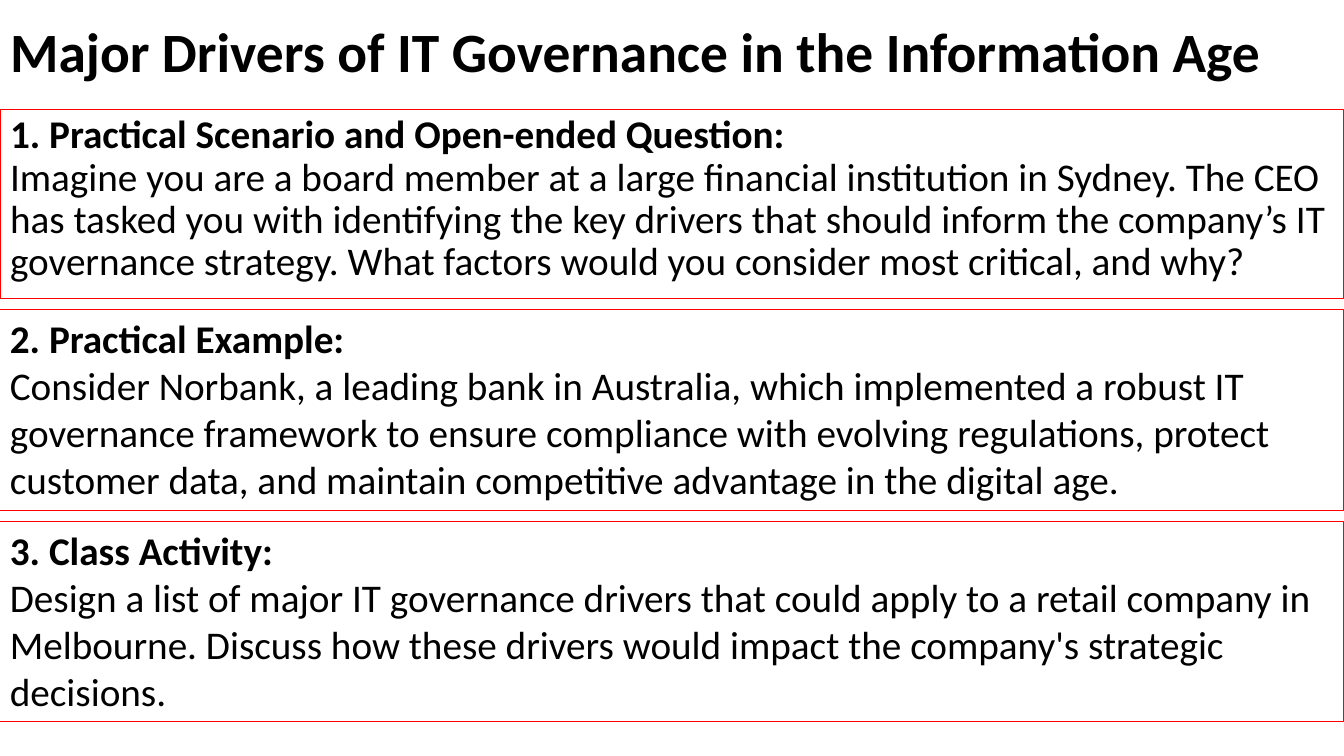
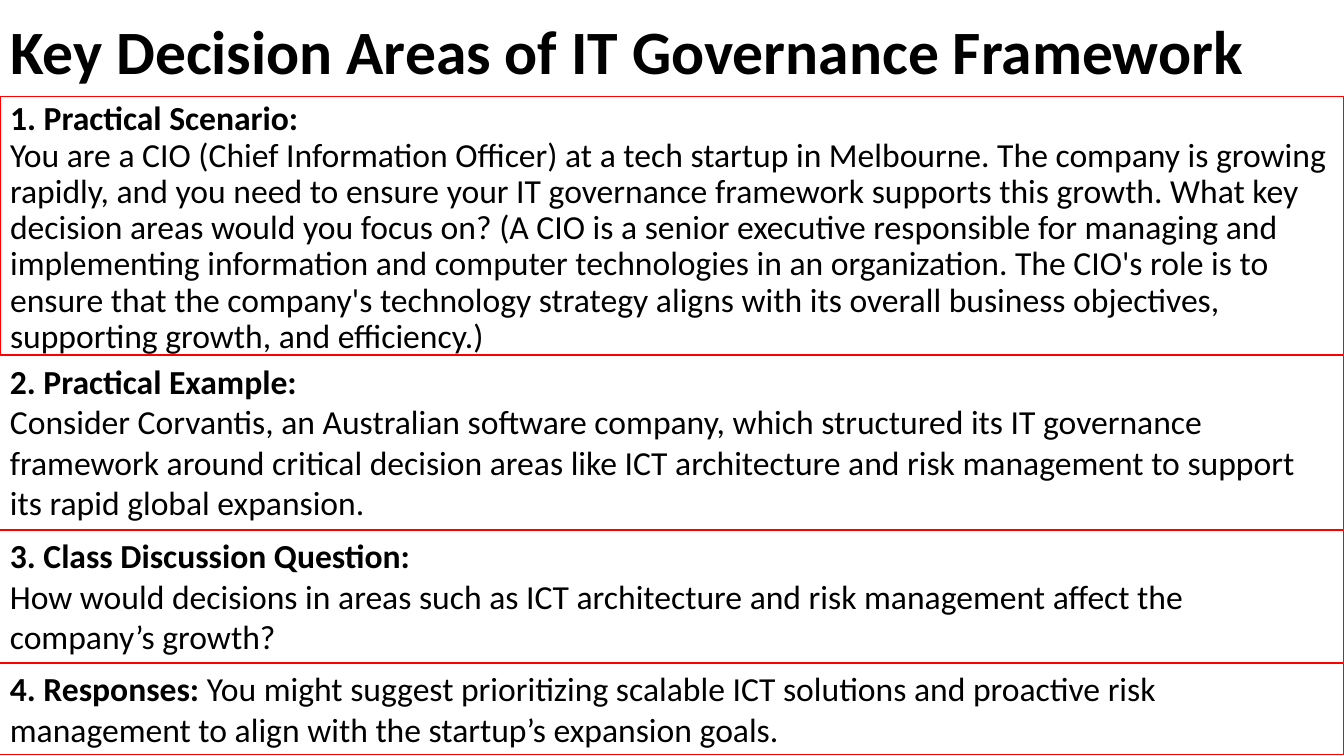
import pptx
import pptx.dml.color
import pptx.enum.text
import pptx.util
from lxml import etree
from pptx.oxml.ns import qn

COLORS = {"text": "000000", "border": "FF0000"}
FONT = "Calibri"

# Grid: full-width panels stacked on fine rows
SLIDE_WIDTH = pptx.util.Inches(13.33)
SLIDE_HEIGHT = pptx.util.Inches(7.5)
ROW = SLIDE_HEIGHT // 750
TITLE_ROWS = 109

# Panels: rows, heading, whether the text starts on a new line, text
SLIDES = [
    {
        "title": "Major Drivers of IT Governance in the Information Age",
        "title_size": 39.6, "text_size": 28, "first_row": 109, "gap": 11,
        "panels": [
            (187, "1. Practical Scenario and Open-ended Question:", True,
             "Imagine you are a board member at a large financial institution in "
             "Sydney. The CEO has tasked you with identifying the key drivers that "
             "should inform the company’s IT governance strategy. What factors "
             "would you consider most critical, and why?"),
            (199, "2. Practical Example:", True,
             "Consider Norbank, a leading bank in Australia, which implemented a "
             "robust IT governance framework to ensure compliance with evolving "
             "regulations, protect customer data, and maintain competitive "
             "advantage in the digital age."),
            (199, "3. Class Activity:", True,
             "Design a list of major IT governance drivers that could apply to a "
             "retail company in Melbourne. Discuss how these drivers would impact "
             "the company's strategic decisions."),
        ],
    },
    {
        "title": "Key Decision Areas of IT Governance Framework",
        "title_size": 44, "text_size": 24, "first_row": 96, "gap": 1,
        "panels": [
            (256, "1. Practical Scenario:", True,
             "You are a CIO (Chief Information Officer) at a tech startup in "
             "Melbourne. The company is growing rapidly, and you need to ensure "
             "your IT governance framework supports this growth. What key decision "
             "areas would you focus on? (A CIO is a senior executive responsible "
             "for managing and implementing information and computer technologies "
             "in an organization. The CIO's role is to ensure that the company's "
             "technology strategy aligns with its overall business objectives, "
             "supporting growth, and efficiency.)"),
            (172, "2. Practical Example:", True,
             "Consider Corvantis, an Australian software company, which structured "
             "its IT governance framework around critical decision areas like ICT "
             "architecture and risk management to support its rapid global "
             "expansion."),
            (131, "3. Class Discussion Question:", True,
             "How would decisions in areas such as ICT architecture and risk "
             "management affect the company’s growth?"),
            (91, "4. Responses:", False,
             " You might suggest prioritizing scalable ICT solutions and proactive "
             "risk management to align with the startup’s expansion goals."),
        ],
    },
]


def color(name):
    return pptx.dml.color.RGBColor.from_string(COLORS[name])


def place(shape, top, rows):
    shape.left, shape.top = 0, top * ROW
    shape.width, shape.height = SLIDE_WIDTH, rows * ROW


def style_paragraph(paragraph, size):
    paragraph.alignment = pptx.enum.text.PP_ALIGN.LEFT
    paragraph.font.name = FONT
    paragraph.font.size = pptx.util.Pt(size)
    paragraph.font.color.rgb = color("text")


def set_title(slide, text, size):
    title = slide.shapes.title
    place(title, 0, TITLE_ROWS)
    frame = title.text_frame
    frame.text = text
    frame.auto_size = pptx.enum.text.MSO_AUTO_SIZE.NONE
    frame.vertical_anchor = pptx.enum.text.MSO_ANCHOR.MIDDLE
    paragraph = frame.paragraphs[0]
    style_paragraph(paragraph, size)
    paragraph.font.bold = True
    paragraph.line_spacing = 0.9


def fill_panel(shape, top, size, panel):
    rows, heading, new_line, text = panel
    place(shape, top, rows)
    shape.line.color.rgb = color("border")
    shape.line.width = pptx.util.Pt(0.75)
    shape.text_frame.word_wrap = True
    paragraph = shape.text_frame.paragraphs[0]
    style_paragraph(paragraph, size)
    heading_run = paragraph.add_run()
    heading_run.text = heading
    heading_run.font.bold = True
    if new_line:
        paragraph.add_line_break()
    paragraph.add_run().text = text


def format_body(shape):
    """Tighten the body placeholder and take off its bullet."""
    shape.text_frame.auto_size = pptx.enum.text.MSO_AUTO_SIZE.NONE
    paragraph = shape.text_frame.paragraphs[0]
    paragraph.line_spacing = 0.9
    paragraph.space_before = pptx.util.Pt(10)
    properties = paragraph._p.get_or_add_pPr()
    properties.set("marL", "0")
    properties.set("indent", "0")
    bullet = etree.Element(qn("a:buNone"))
    properties.find(qn("a:defRPr")).addprevious(bullet)


def add_slide(presentation, content):
    slide = presentation.slides.add_slide(presentation.slide_layouts[1])
    set_title(slide, content["title"], content["title_size"])
    top = content["first_row"]
    for index, panel in enumerate(content["panels"]):
        if index == 0:
            shape = slide.placeholders[1]
        else:
            shape = slide.shapes.add_textbox(0, 0, SLIDE_WIDTH, ROW)
            shape.text_frame.auto_size = pptx.enum.text.MSO_AUTO_SIZE.SHAPE_TO_FIT_TEXT
        fill_panel(shape, top, content["text_size"], panel)
        top += panel[0] + content["gap"]
    format_body(slide.placeholders[1])


def main():
    presentation = pptx.Presentation()
    presentation.slide_width = SLIDE_WIDTH
    presentation.slide_height = SLIDE_HEIGHT
    for content in SLIDES:
        add_slide(presentation, content)
    presentation.save("out.pptx")


if __name__ == "__main__":
    main()
